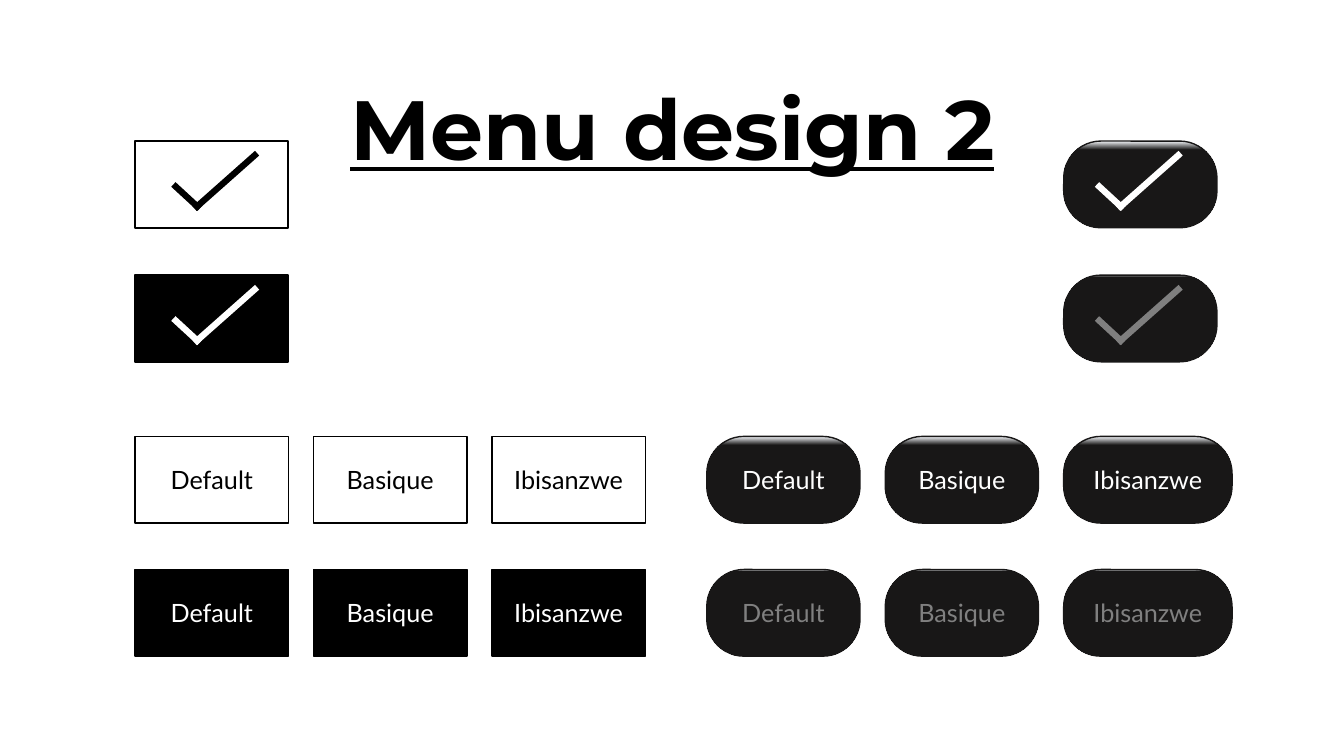
"""Build the "Menu design 2" slide: two button styles, each in two states."""
from pptx import Presentation
from pptx.dml.color import RGBColor
from pptx.enum.shapes import MSO_CONNECTOR, MSO_SHAPE
from pptx.enum.text import MSO_ANCHOR, PP_ALIGN
from pptx.oxml.ns import qn
from pptx.util import Inches, Pt
from lxml import etree

TITLE = "Menu design 2"
LABELS = ["Default", "Basique", "Ibisanzwe"]
THEME = {
    "black": "000000", "white": "FFFFFF", "gloss": "F7FAFD", "charcoal": "181717",
    "muted": "808080", "muted_tick": "7F7F7F",
    "title_font": "Montserrat", "title_size": 60, "label_font": "Lato", "label_size": 18,
    "border": 1, "tick_border": 1.5, "tick_width": 4.5,
}
STYLES = [
    {"left": 1.34, "corner": 0, "tick_column": 0, "tick_shift": 0, "tick_border": "tick_border",
     "last_width": 1.52, "border": "black",
     "states": [{"fill": "white", "ink": "black", "tick": "black"},
                {"fill": "black", "ink": "white", "tick": "white"}]},
    {"left": 7.01, "corner": 0.429, "tick_column": 2, "tick_shift": -0.05, "tick_border": "border",
     "last_width": 1.67, "border": "charcoal",
     "states": [{"gloss_end": 0.10, "ink": "white", "tick": "white"},
                {"gloss_end": 0.02, "ink": "muted", "tick": "muted_tick"}]},
]
COLUMN_PITCH, BUTTON_WIDTH, BUTTON_HEIGHT = 1.77, 1.52, 0.86
TICK_ROWS, LABEL_ROWS = (1.4, 2.73), (4.33, 5.65)
TICK_STROKES = [((0.64, 0.67), (0.38, 0.43)), ((0.59, 0.67), (1.21, 0.12))]


def color(name):
    return RGBColor.from_string(THEME[name])


def set_font(paragraph, role, ink):
    paragraph.alignment = PP_ALIGN.CENTER
    paragraph.font.name = THEME[role + "_font"]
    paragraph.font.size = Pt(THEME[role + "_size"])
    paragraph.font.color.rgb = color(ink)


def add_button(slide, style, state, left, top, width, border):
    button = slide.shapes.add_shape(
        MSO_SHAPE.ROUNDED_RECTANGLE, *map(Inches, (left, top, width, BUTTON_HEIGHT)))
    button.adjustments[0] = style["corner"]
    button.shadow.inherit = False
    button.line.color.rgb = color(style["border"])
    button.line.width = Pt(THEME[border])
    if "fill" in state:
        button.fill.solid()
        button.fill.fore_color.rgb = color(state["fill"])
    else:
        button.fill.gradient()
        button.fill.gradient_angle = 270
        stops = zip(button.fill.gradient_stops, ("gloss", "charcoal"), (0, state["gloss_end"]))
        for stop, name, position in stops:
            stop.color.rgb = color(name)
            stop.position = position
    return button


def add_tick(slide, left, top, ink):
    for (x1, y1), (x2, y2) in TICK_STROKES:
        stroke = slide.shapes.add_connector(
            MSO_CONNECTOR.STRAIGHT,
            *map(Inches, (left + x1, top + y1, left + x2, top + y2)))
        stroke.line.color.rgb = color(ink)
        stroke.line.width = Pt(THEME["tick_width"])
        etree.SubElement(stroke._element.spPr, qn("a:effectLst"))


def add_style(slide, style):
    for state, tick_top, label_top in zip(style["states"], TICK_ROWS, LABEL_ROWS):
        tick_left = style["left"] + style["tick_column"] * COLUMN_PITCH
        add_button(slide, style, state, tick_left, tick_top, BUTTON_WIDTH, style["tick_border"])
        add_tick(slide, tick_left + style["tick_shift"], tick_top, state["tick"])
        widths = (BUTTON_WIDTH, BUTTON_WIDTH, style["last_width"])
        for column, (label, width) in enumerate(zip(LABELS, widths)):
            left = style["left"] + column * COLUMN_PITCH
            button = add_button(slide, style, state, left, label_top, width, "border")
            button.text_frame.text = label
            button.text_frame.vertical_anchor = MSO_ANCHOR.MIDDLE
            set_font(button.text_frame.paragraphs[0], "label", state["ink"])


def add_title(slide):
    frame = slide.shapes.add_textbox(*map(Inches, (0.92, 0.37, 11.5, 1.45))).text_frame
    frame.word_wrap = True
    frame.vertical_anchor = MSO_ANCHOR.BOTTOM
    frame.text = TITLE
    heading = frame.paragraphs[0]
    set_font(heading, "title", "black")
    heading.line_spacing = 0.9
    heading.font.bold = heading.font.underline = True


presentation = Presentation()
presentation.slide_width, presentation.slide_height = Inches(13.33), Inches(7.5)
menu = presentation.slides.add_slide(presentation.slide_layouts[6])
for button_style in STYLES:
    add_style(menu, button_style)
add_title(menu)
presentation.save("out.pptx")
